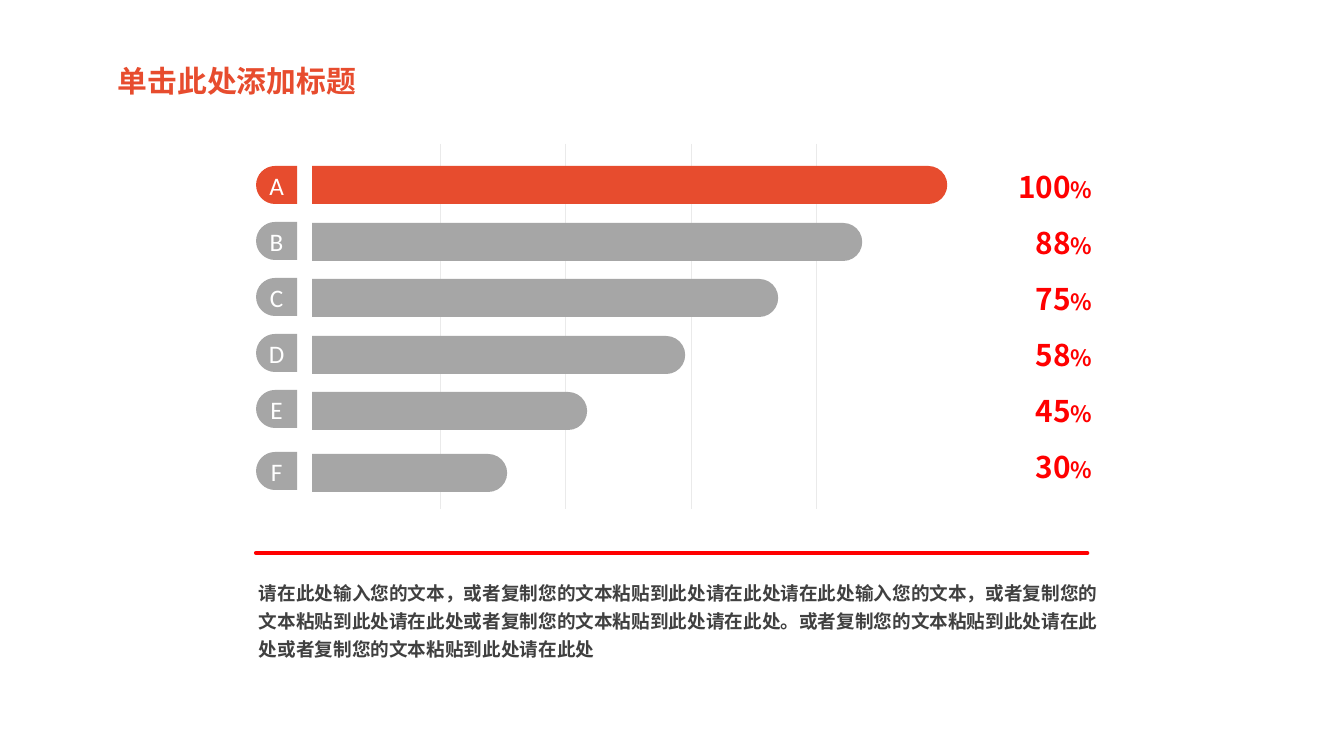
from lxml import etree
from pptx import Presentation, util as u
from pptx.dml.color import RGBColor
from pptx.enum import shapes as sh, text as tx
from pptx.oxml.ns import qn

TITLE = "单击此处添加标题"
NOTE = ("请在此处输入您的文本，或者复制您的文本粘贴到此处请在此处请在此处输入您的文本，"
        "或者复制您的文本粘贴到此处请在此处或者复制您的文本粘贴到此处请在此处。"
        "或者复制您的文本粘贴到此处请在此处或者复制您的文本粘贴到此处请在此处")
ROWS = [("A", "100", 635), ("B", "88", 550), ("C", "75", 466),
        ("D", "58", 373), ("E", "45", 275), ("F", "30", 195)]
ORANGE, GRAY, RED = "E74C2E", "A6A6A6", "FF0000"
WHITE, DARK, PALE = "FFFFFF", "404040", "EAEAEA"
NOTO = "Noto Sans CJK SC"
TOP, PITCH, THICK = 166, 56, 38
TAB_X, TAB_W, BAR_X = 256, 41, 312
LAST_GAP = 6
CURVE = 0.55


def px(n):
    return round(n * 914400 / 100.8)


def color(hex):
    return RGBColor.from_string(hex)


prs = Presentation()
prs.slide_width, prs.slide_height = u.Inches(13.33), u.Inches(7.5)
slide = prs.slides.add_slide(prs.slide_layouts[6])
items = slide.shapes


def paint(shape, fill):
    shape.shadow.inherit = False
    shape.fill.solid()
    shape.fill.fore_color.rgb = color(fill)
    shape.line.fill.background()


def grid(x):
    c = items.add_connector(sh.MSO_CONNECTOR.STRAIGHT, px(x), px(144), px(x), px(509))
    c.line.color.rgb = color(PALE)
    c.line.width = u.Pt(0.5)
    etree.SubElement(c._element.spPr, qn("a:effectLst"))


def outline(points):
    spots = [(px(x), px(y)) for x, y in points]
    pen = items.build_freeform(*spots[0])
    pen.add_line_segments(spots[1:])
    return pen.convert_to_shape()


def rule(left, right, y):
    shape = outline([(left, y), (right, y), (left, y)])
    shape.height = px(15)
    shape.shadow.inherit = False
    shape.fill.background()
    shape.line.color.rgb = color(RED)
    shape.line.width = u.Pt(3)


def run(para, words, size, ink, font=NOTO, bold=True):
    r = para.add_run()
    r.text = words
    f = r.font
    f.size, f.bold, f.name = u.Pt(size), bold, font
    f.color.rgb = color(ink)
    etree.SubElement(r._r.get_or_add_rPr(), qn("a:ea")).set("typeface", NOTO)


def box(x, y, w, h, wrap=True):
    frame = items.add_textbox(px(x), px(y), px(w), px(h)).text_frame
    frame.word_wrap = wrap
    return frame


def bend(seg, spots):
    seg.tag = qn("a:cubicBezTo")
    for old in list(seg):
        seg.remove(old)
    for x, y in spots:
        spot = etree.SubElement(seg, qn("a:pt"))
        spot.set("x", str(px(x)))
        spot.set("y", str(px(y)))


def tab(letter, y, fill):
    rad, right, low = THICK / 2, TAB_X + TAB_W, y + THICK
    mid = TAB_X + rad
    shape = outline([(mid, y), (right, y), (right, low), (mid, low),
                     (TAB_X, y + rad), (mid, y)])
    segs = list(shape._element.iter(qn("a:lnTo")))
    near, far = rad * (1 - CURVE), rad * (1 + CURVE)
    bend(segs[3], [(near, THICK), (0, far), (0, rad)])
    bend(segs[4], [(0, near), (near, 0), (rad, 0)])
    paint(shape, fill)
    frame = shape.text_frame
    frame.margin_left = frame.margin_right = 0
    frame.vertical_anchor = tx.MSO_ANCHOR.MIDDLE
    para = frame.paragraphs[0]
    para.alignment = tx.PP_ALIGN.CENTER
    run(para, letter, 18, WHITE, "Calibri", False)


def bar(y, length, fill):
    left = BAR_X + (length - THICK) / 2
    top = y - (length - THICK) / 2
    shape = items.add_shape(sh.MSO_SHAPE.ROUND_2_SAME_RECTANGLE,
                            px(left), px(top), px(THICK), px(length))
    shape.adjustments[0], shape.adjustments[1] = 0.5, 0
    shape.rotation = 90
    paint(shape, fill)


for i in range(4):
    grid(round(440 + 125.3 * i))
rule(TAB_X, 1087, 553)

for i, (letter, value, length) in enumerate(ROWS):
    fill = ORANGE if i == 0 else GRAY
    y = TOP + PITCH * i + (LAST_GAP if i == len(ROWS) - 1 else 0)
    frame = box(974, 160 + PITCH * i, 128, 54)
    frame.vertical_anchor = tx.MSO_ANCHOR.MIDDLE
    para = frame.paragraphs[0]
    para.alignment = tx.PP_ALIGN.RIGHT
    run(para, value, 21.3, RED)
    run(para, "%", 16, RED)
    bar(y + min((i + 1) // 2, 2), length, fill)
    tab(letter, y, fill)

para = box(249, 571, 871, 95).paragraphs[0]
para.line_spacing = u.Pt(20)
para.space_before = para.space_after = u.Pt(11.2)
run(para, NOTE, 13.3, DARK)
run(box(108, 58, 262, 46, False).paragraphs[0], TITLE, 21.3, ORANGE, "Roboto Condensed")

prs.save("out.pptx")
